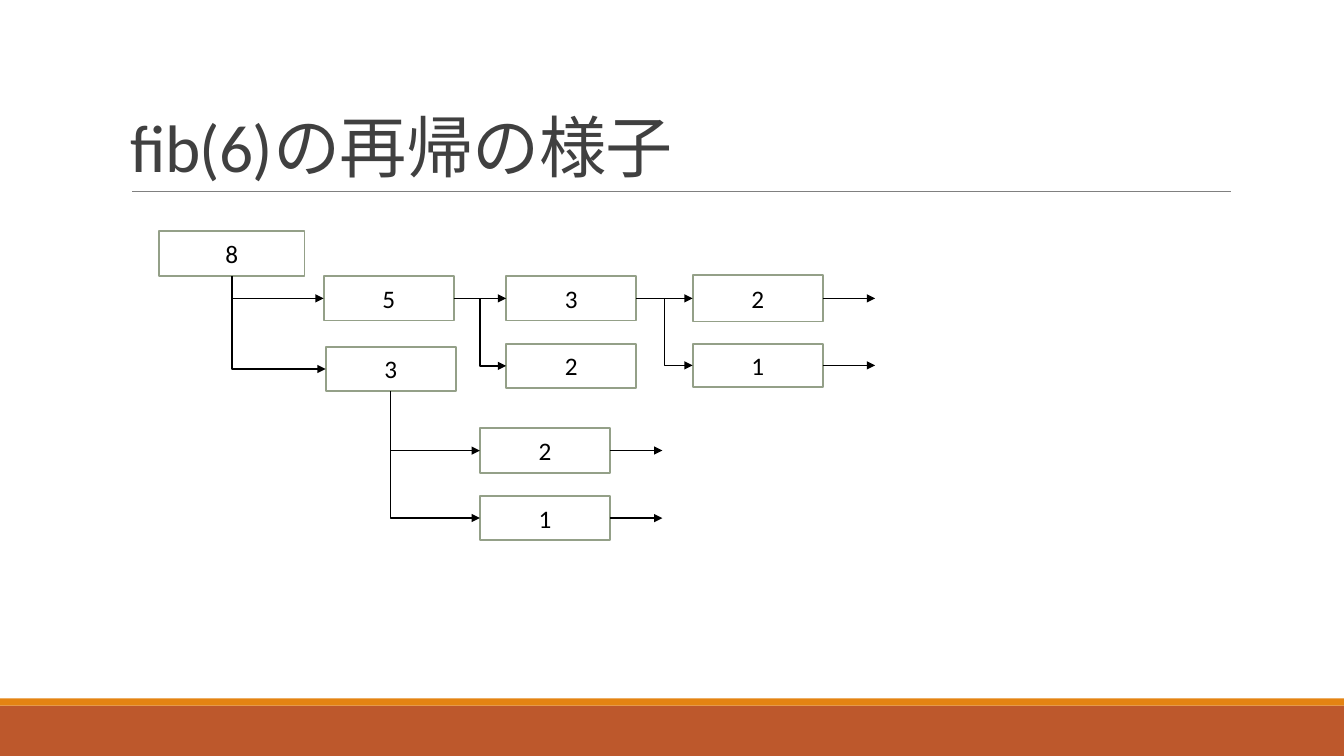
from lxml import etree
from pptx import Presentation
from pptx.dml.color import RGBColor
from pptx.enum.shapes import MSO_CONNECTOR, MSO_SHAPE
from pptx.enum.text import MSO_ANCHOR, PP_ALIGN
from pptx.oxml.ns import qn
from pptx.util import Inches, Pt

RECT = MSO_SHAPE.RECTANGLE
STRAIGHT, ELBOW = MSO_CONNECTOR.STRAIGHT, MSO_CONNECTOR.ELBOW
MIDDLE, BOTTOM = MSO_ANCHOR.MIDDLE, MSO_ANCHOR.BOTTOM
CENTER = PP_ALIGN.CENTER
LEFT_SITE, BOTTOM_SITE, RIGHT_SITE = 1, 2, 3
FONT = "Calibri"
COLORS = {
    "white": "FFFFFF", "black": "000000", "title": "404040", "rule": "808080",
    "node": "94A088", "footer": "BD582C", "stripe": "E48312",
}

# Calls of fib: name -> (value, left, top, width, height)
NODES = {
    "fib6": ("8", 1.58, 2.29, 1.44, 0.45),
    "fib5": ("5", 3.21, 2.74, 1.29, 0.44),
    "fib4": ("3", 3.23, 3.44, 1.29, 0.44),
    "fib5_4": ("3", 5.02, 2.74, 1.29, 0.44),
    "fib4_3": ("2", 4.76, 4.25, 1.29, 0.44),
    "fib5_4_3": ("2", 6.87, 2.73, 1.29, 0.46),
    "fib4_2": ("1", 4.76, 4.92, 1.29, 0.44),
    "fib5_3": ("2", 5.02, 3.41, 1.29, 0.44),
    "fib5_4_2": ("1", 6.87, 3.41, 1.29, 0.43),
}
DOWN_CALLS = {"fib6": ("fib4", "fib5"), "fib4": ("fib4_2", "fib4_3")}
SIDE_CALLS = {"fib5": ("fib5_4", "fib5_3"), "fib5_4": ("fib5_4_3", "fib5_4_2")}
OPEN_CALLS = ("fib5_4_3", "fib5_4_2", "fib4_3", "fib4_2")
OPEN_LENGTH = 0.52


def rgb(name):
    return RGBColor.from_string(COLORS[name])


def add_run(p, text, size, color):
    r = p.add_run()
    r.text = text
    r.font.name = FONT
    r.font.size = Pt(size)
    r.font.color.rgb = rgb(color)
    return r


def add_rect(s, x, y, w, h, fill, line=None):
    sp = s.shapes.add_shape(RECT, Inches(x), Inches(y), Inches(w), Inches(h))
    sp.shadow.inherit = False
    sp.fill.solid()
    sp.fill.fore_color.rgb = rgb(fill)
    if line:
        sp.line.color.rgb = rgb(line)
        sp.line.width = Pt(1.25)
    else:
        sp.line.fill.background()
    return sp


def add_node(s, value, x, y, w, h):
    sp = add_rect(s, x, y, w, h, "white", "node")
    tf = sp.text_frame
    tf.vertical_anchor = MIDDLE
    p = tf.paragraphs[0]
    p.alignment = CENTER
    add_run(p, value, 18, "black")
    return sp


def add_title(s, text):
    sp = s.shapes.add_textbox(Inches(1.2), Inches(0.31), Inches(11), Inches(1.59))
    tf = sp.text_frame
    tf.word_wrap = True
    tf.vertical_anchor = BOTTOM
    p = tf.paragraphs[0]
    p.line_spacing = 0.85
    r = add_run(p, text, 48, "title")
    r.font._element.set("spc", "-50")


def add_line(s, kind, x1, y1, x2, y2, color, width, arrow=False):
    cxn = s.shapes.add_connector(kind, x1, y1, x2, y2)
    cxn.line.color.rgb = rgb(color)
    cxn.line.width = Pt(width)
    if arrow:
        etree.SubElement(cxn.line._get_or_add_ln(), qn("a:tailEnd"), type="triangle")
    etree.SubElement(cxn._element.spPr, qn("a:effectLst"))
    return cxn


def add_call(s, caller, callee, site):
    cxn = add_line(s, ELBOW, 0, 0, 0, 0, "black", 1, arrow=True)
    cxn.begin_connect(caller, site)
    cxn.end_connect(callee, LEFT_SITE)
    if site == BOTTOM_SITE:
        turn_down_first(cxn)


def turn_down_first(cxn):
    """Make the elbow a single corner that goes down, then right."""
    x, y, w, h = cxn.left, cxn.top, cxn.width, cxn.height
    cxn.left, cxn.top = x + (w - h) // 2, y + (h - w) // 2
    cxn.width, cxn.height = h, w
    spPr = cxn._element.spPr
    xfrm = spPr.find(qn("a:xfrm"))
    xfrm.set("rot", "16200000")
    xfrm.set("flipH", "1")
    spPr.find(qn("a:prstGeom")).set("prst", "bentConnector2")


def add_open_call(s, node):
    x, y = node.left + node.width, node.top + node.height // 2
    cxn = add_line(s, STRAIGHT, x, y, x + Inches(OPEN_LENGTH), y, "black", 1, arrow=True)
    cxn.begin_connect(node, RIGHT_SITE)


def main():
    prs = Presentation()
    prs.slide_width, prs.slide_height = Inches(13.33), Inches(7.5)
    s = prs.slides.add_slide(prs.slide_layouts[6])

    add_rect(s, 0, 7, 13.33, 0.5, "footer")
    add_rect(s, 0, 6.93, 13.33, 0.07, "stripe")
    add_line(s, STRAIGHT, Inches(1.31), Inches(1.9), Inches(12.21), Inches(1.9), "rule", 0.5)
    add_title(s, "fib(6)の再帰の様子")

    nodes = {name: add_node(s, *node) for name, node in NODES.items()}
    for calls, site in ((DOWN_CALLS, BOTTOM_SITE), (SIDE_CALLS, RIGHT_SITE)):
        for caller, callees in calls.items():
            for callee in callees:
                add_call(s, nodes[caller], nodes[callee], site)
    for name in OPEN_CALLS:
        add_open_call(s, nodes[name])

    prs.save("out.pptx")


if __name__ == "__main__":
    main()
